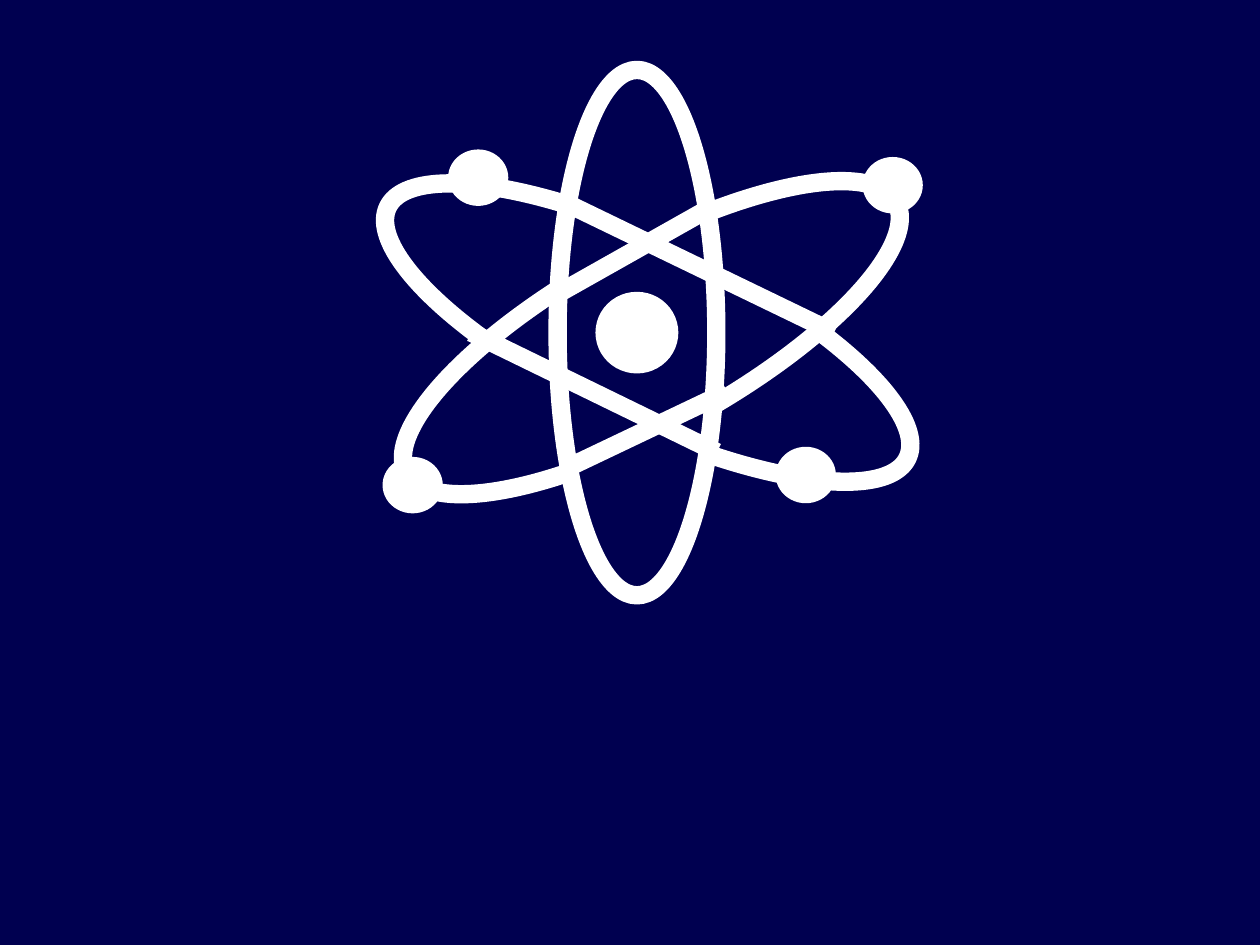
"""Build a slide showing an atom with three orbits, a nucleus and four electrons."""
from dataclasses import dataclass

from lxml import etree
from pptx import Presentation
from pptx.dml.color import RGBColor
from pptx.enum.shapes import MSO_CONNECTOR, MSO_SHAPE
from pptx.oxml.ns import qn
from pptx.util import Inches, Pt

OVAL = MSO_SHAPE.OVAL
STRAIGHT = MSO_CONNECTOR.STRAIGHT
BLANK_LAYOUT = 6


@dataclass(frozen=True)
class Theme:
    navy: RGBColor = RGBColor(0x00, 0x00, 0x50)
    white: RGBColor = RGBColor(0xFF, 0xFF, 0xFF)
    orbit_width: float = 10.5
    particle_width: float = 2


@dataclass(frozen=True)
class Ellipse:
    left: float
    top: float
    width: float
    height: float
    rotation: float = 0


@dataclass(frozen=True)
class Segment:
    x1: float
    y1: float
    x2: float
    y2: float


THEME = Theme()
ORBITS = [
    Ellipse(2.85, 1.93, 4.58, 1.42, 25.8),
    Ellipse(2.95, 1.97, 4.44, 1.42, 331),
    Ellipse(2.97, 2.01, 4.17, 1.26, 90),
]
CROSSINGS = [
    Segment(4.43, 2.33, 5.69, 1.62),
    Segment(4.51, 3.71, 5.77, 3.11),
    Segment(3.74, 2.64, 5.69, 3.59),
    Segment(4.51, 1.62, 6.62, 2.64),
]
NUCLEUS = Ellipse(4.74, 2.33, 0.63, 0.62)
ELECTRONS = [
    Ellipse(left, top, 0.45, 0.42)
    for left, top in [(3.05, 3.64), (6.86, 1.26), (6.17, 3.56), (3.57, 1.2)]
]


def draw_ellipse(slide, ellipse: Ellipse, fill: RGBColor, line_width: float) -> None:
    oval = slide.shapes.add_shape(
        OVAL,
        Inches(ellipse.left),
        Inches(ellipse.top),
        Inches(ellipse.width),
        Inches(ellipse.height),
    )
    oval.rotation = ellipse.rotation
    oval.shadow.inherit = False
    oval.fill.solid()
    oval.fill.fore_color.rgb = fill
    oval.line.color.rgb = THEME.white
    oval.line.width = Pt(line_width)


def draw_segment(slide, segment: Segment) -> None:
    crossing = slide.shapes.add_connector(
        STRAIGHT,
        Inches(segment.x1),
        Inches(segment.y1),
        Inches(segment.x2),
        Inches(segment.y2),
    )
    crossing.line.color.rgb = THEME.white
    crossing.line.width = Pt(THEME.orbit_width)
    etree.SubElement(crossing._element.spPr, qn("a:effectLst"))


def main() -> None:
    deck = Presentation()
    deck.slide_width, deck.slide_height = Inches(10), Inches(7.5)
    slide = deck.slides.add_slide(deck.slide_layouts[BLANK_LAYOUT])
    slide.background.fill.solid()
    slide.background.fill.fore_color.rgb = THEME.navy

    for orbit in ORBITS:
        draw_ellipse(slide, orbit, THEME.navy, THEME.orbit_width)
    for crossing in CROSSINGS:
        draw_segment(slide, crossing)
    for particle in [NUCLEUS, *ELECTRONS]:
        draw_ellipse(slide, particle, THEME.white, THEME.particle_width)

    deck.save("out.pptx")


main()
